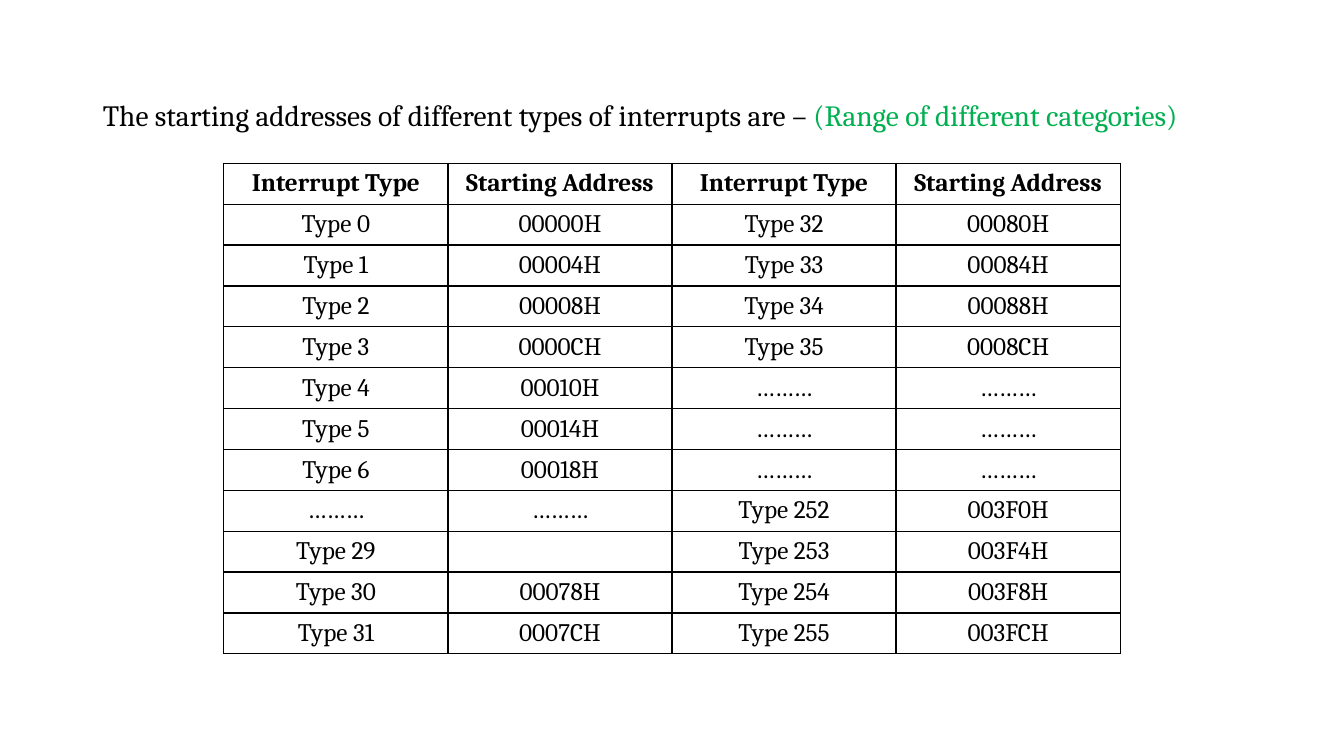
from dataclasses import dataclass

from lxml import etree
from pptx import Presentation
from pptx.dml.color import RGBColor
from pptx.enum import text
from pptx.oxml import ns
from pptx.slide import Slide
from pptx.table import _Cell as Cell
from pptx.text.text import _Paragraph as Paragraph
from pptx.util import Inches, Pt

BLACK = RGBColor(0x00, 0x00, 0x00)
WHITE = RGBColor(0xFF, 0xFF, 0xFF)
GREEN = RGBColor(0x00, 0xB0, 0x50)
FONT = "Cambria"
DOTS = "………"


@dataclass(frozen=True)
class Interrupt:
    number: int
    has_address: bool = True

    def labels(self) -> tuple[str, str]:
        """Name and starting address; each vector takes four bytes."""
        address = f"{4 * self.number:05X}H" if self.has_address else ""
        return f"Type {self.number}", address


HEADER = ("Interrupt Type", "Starting Address") * 2
# None marks a row of dots.
LEFT_HALF = [
    *map(Interrupt, range(7)), None,
    Interrupt(29, has_address=False), Interrupt(30), Interrupt(31),
]
RIGHT_HALF = [
    *map(Interrupt, range(32, 36)), None, None, None,
    *map(Interrupt, range(252, 256)),
]


def add_span(para: Paragraph, words: str, size: float,
             color: RGBColor = BLACK, bold: bool = False) -> None:
    span = para.add_run()
    span.text = words
    span.font.name = FONT
    span.font.size = Pt(size)
    span.font.bold = bold
    span.font.color.rgb = color


def add_borders(cell: Cell) -> None:
    properties = cell._tc.get_or_add_tcPr()
    for side in ("a:lnL", "a:lnR", "a:lnT", "a:lnB"):
        line = etree.SubElement(properties, ns.qn(side), w=str(Pt(1)))
        fill = etree.SubElement(line, ns.qn("a:solidFill"))
        etree.SubElement(fill, ns.qn("a:srgbClr"), val=str(BLACK))


def fill_cell(cell: Cell, words: str, bold: bool) -> None:
    add_borders(cell)
    cell.fill.solid()
    cell.fill.fore_color.rgb = WHITE
    cell.margin_top = cell.margin_bottom = 0
    cell.vertical_anchor = text.MSO_ANCHOR.MIDDLE
    para = cell.text_frame.paragraphs[0]
    para.alignment = text.PP_ALIGN.CENTER
    if words:
        add_span(para, words, 18, bold=bold)


def add_introduction(page: Slide) -> None:
    body = page.placeholders[1]
    body.left, body.top = Inches(0.92), Inches(0.74)
    body.width, body.height = Inches(11.5), Inches(6.02)
    frame = body.text_frame
    frame.auto_size = text.MSO_AUTO_SIZE.NONE
    frame.vertical_anchor = text.MSO_ANCHOR.TOP
    para = frame.paragraphs[0]
    para.alignment = text.PP_ALIGN.JUSTIFY
    para.line_spacing = 1.5
    para.space_before = Pt(10)
    properties = para._p.get_or_add_pPr()
    properties.set("marL", "0")
    properties.set("indent", "0")
    etree.SubElement(properties, ns.qn("a:buNone"))
    add_span(para, "The starting addresses of different types of interrupts are – ", 21)
    add_span(para, "(Range of different categories)", 21, GREEN)


def add_address_table(page: Slide) -> None:
    rows = [HEADER]
    for pair in zip(LEFT_HALF, RIGHT_HALF):
        rows.append(tuple(
            label
            for interrupt in pair
            for label in (interrupt.labels() if interrupt else (DOTS, DOTS))
        ))
    table = page.shapes.add_table(
        len(rows), len(HEADER),
        Inches(2.22), Inches(1.62), Inches(8.89), Inches(4.87),
    ).table
    table.horz_banding = False
    for row_index, row in enumerate(rows):
        for column_index, words in enumerate(row):
            fill_cell(table.cell(row_index, column_index), words, bold=row_index == 0)


def main() -> None:
    deck = Presentation()
    deck.slide_width, deck.slide_height = Inches(13.33), Inches(7.5)
    page = deck.slides.add_slide(deck.slide_layouts[1])
    empty_title = page.shapes.title.element
    empty_title.getparent().remove(empty_title)
    add_introduction(page)
    add_address_table(page)
    deck.save("out.pptx")


if __name__ == "__main__":
    main()
